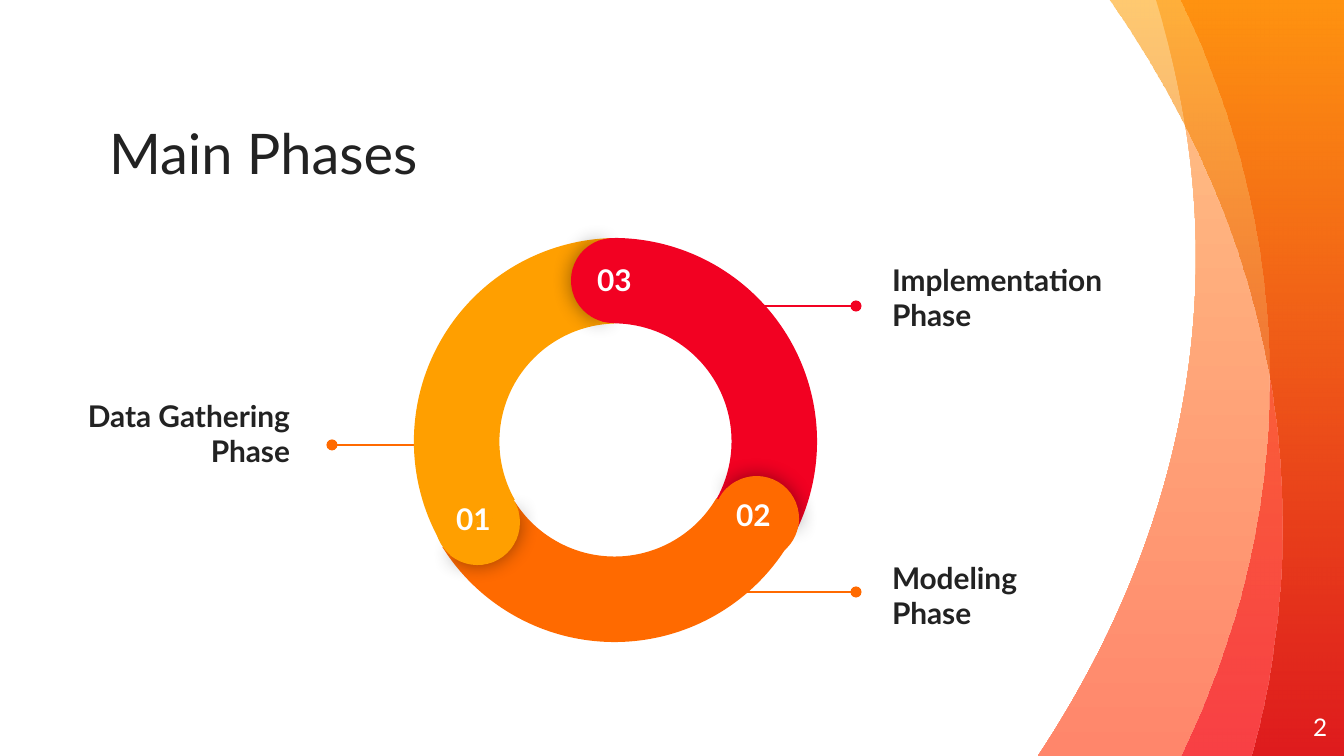
from lxml.etree import SubElement
from pptx import Presentation
from pptx.dml.color import RGBColor
from pptx.enum.shapes import MSO_CONNECTOR, MSO_SHAPE
from pptx.enum.text import MSO_ANCHOR, PP_ALIGN
from pptx.oxml.ns import qn
from pptx.util import Pt

SCALE = 914400 / 134.4  # EMU per px
WIDTH, HEIGHT = 1344, 756
COLORS = {
    "ink": "222222",
    "white": "FFFFFF",
    "black": "000000",
    "yellow": "FF9F00",
    "orange": "FF6A00",
    "red": "F20122",
    "dark red": "CC0000",
    "peach": "FFC486",
    "salmon": "FF866B",
}


def emu(*lengths):
    return [round(length * SCALE) for length in lengths]


def add_text(place, lines, size, color, bold=False, align=PP_ALIGN.LEFT,
             anchor=MSO_ANCHOR.MIDDLE, inset=0, lift=0):
    """Add a text box; lift is extra room under the text, which raises it."""
    box = page.shapes.add_textbox(*emu(*place))
    frame = box.text_frame
    frame.word_wrap = True
    frame.vertical_anchor = anchor
    frame.margin_left, frame.margin_top, frame.margin_right = emu(*[inset] * 3)
    frame.margin_bottom = emu(inset + lift)[0]
    frame.text = lines
    for paragraph in frame.paragraphs:
        paragraph.alignment = align
        for span in paragraph.runs:
            span.font.name = "Lato"
            span.font.size = Pt(size)
            span.font.bold = bold
            span.font.color.rgb = RGBColor.from_string(COLORS[color])


deck = Presentation()
deck.slide_width, deck.slide_height = emu(WIDTH, HEIGHT)
page = deck.slides.add_slide(deck.slide_layouts[6])

# Curved bands: two cubic curves from top to bottom, then (color, opacity %) from top to bottom
bands = [
    ([(1156, 0), (1181, 82), (1196, 168), (1196, 257), (1196, 435), (1138, 605), (1038, 756)],
     [("peach", 100), ("salmon", 100)]),
    ([(1180, 0), (1238, 120), (1269, 247), (1269, 379), (1269, 512), (1237, 640), (1181, 756)],
     [("orange", 72), ("red", 52)]),
    ([(1109, 0), (1220, 160), (1282, 337), (1282, 525), (1282, 605), (1271, 683), (1251, 756)],
     [("yellow", 56), ("dark red", 57)]),
]
for curve, stops in bands:
    outline = page.shapes.build_freeform(*curve[0], scale=SCALE)
    outline.add_line_segments(curve[1:] + [(WIDTH, HEIGHT), (WIDTH, 0)], close=True)
    band = outline.convert_to_shape()
    # Each three of the first six segments become one cubic curve
    segments = list(band._element.spPr.iter(qn("a:lnTo")))
    for first in (0, 3):
        trio = segments[first:first + 3]
        cubic = SubElement(trio[0].getparent(), qn("a:cubicBezTo"))
        trio[0].addprevious(cubic)
        for segment in trio:
            cubic.append(segment[0])
            segment.getparent().remove(segment)
    band.shadow.inherit = False
    band.line.fill.background()
    band.fill.gradient()
    band.fill.gradient_angle = 270
    for stop, (color, opacity) in zip(band.fill.gradient_stops, stops):
        stop.color.rgb = RGBColor.from_string(COLORS[color])
    rgb_elements = list(band._element.spPr.iter(qn("a:srgbClr")))
    for rgb, (color, opacity) in zip(rgb_elements, stops):
        if opacity < 100:
            SubElement(rgb, qn("a:alpha"), val=str(opacity * 1000))

add_text((109, 77, 887, 109), "Main Phases", 30, "ink", anchor=MSO_ANCHOR.BOTTOM)
add_text((1246, 698, 81, 58), "2", 13, "white", align=PP_ALIGN.RIGHT)

# Phase labels, each with a leader from the ring to a dot
labels = [
    ("Data Gathering Phase", 64, 348, 20, PP_ALIGN.RIGHT, "orange", 426, 332, 445),
    ("Implementation Phase", 879, 212, 20, PP_ALIGN.LEFT, "red", 710, 856, 306),
    ("Modeling\nPhase", 879, 500, 0, PP_ALIGN.LEFT, "orange", 710, 856, 592),
]
for text, left, top, lift, align, color, start, end, level in labels:
    add_text((left, top, 239, 190), text, 16, "ink", bold=True, align=align, inset=13, lift=lift)
    leader = page.shapes.add_connector(MSO_CONNECTOR.STRAIGHT, *emu(start, level, end, level))
    leader.line.color.rgb = RGBColor.from_string(COLORS[color])
    leader.line.width = Pt(0.75)
    SubElement(leader.line._get_or_add_ln(), qn("a:tailEnd"), type="oval")
    SubElement(leader._element.spPr, qn("a:effectLst"))

# Ring: three arcs, then for each a shadowed cap under a plain one
ARC, CAP = 407, 85
parts = []
for color, left, top, turn, stop in [("red", 410, 238, 60, 197.82),
                                     ("orange", 411, 235, 180, 196.63),
                                     ("yellow", 414, 238, 300, 197.03)]:
    parts.append((MSO_SHAPE.BLOCK_ARC, left, top, ARC, turn, color, (126.23, stop, 0.21), False))
for color, left, top, turn in [("yellow", 435, 480, 240), ("red", 571, 238, 0),
                               ("orange", 714, 476, 120)]:
    parts.append((MSO_SHAPE.PIE, left, top, CAP, turn + 0.6, color, (61.9, 149.96), True))
    parts.append((MSO_SHAPE.PIE, left, top, CAP, (turn + 180) % 360, color,
                  (40.28, 171.84), False))
for preset, left, top, size, turn, color, adjustments, shaded in parts:
    part = page.shapes.add_shape(preset, *emu(left, top, size, size))
    part.rotation = turn
    for index, value in enumerate(adjustments):
        part.adjustments[index] = value
    part.fill.solid()
    part.fill.fore_color.rgb = RGBColor.from_string(COLORS[color])
    part.line.fill.background()
    part.shadow.inherit = False
    if shaded:
        effects = part._element.spPr.find(qn("a:effectLst"))
        shadow = SubElement(effects, qn("a:outerShdw"), blurRad=str(Pt(11.2)),
                            dist="0", dir="0", algn="ctr", rotWithShape="0")
        tint = SubElement(shadow, qn("a:srgbClr"), val=COLORS["black"])
        SubElement(tint, qn("a:alpha"), val="43000")

for number, left, top in [("03", 577, 249), ("01", 436, 488), ("02", 716, 484)]:
    add_text((left, top, 75, 39), number, 16, "white", bold=True,
             align=PP_ALIGN.CENTER, anchor=MSO_ANCHOR.TOP, inset=13)

deck.save("out.pptx")
